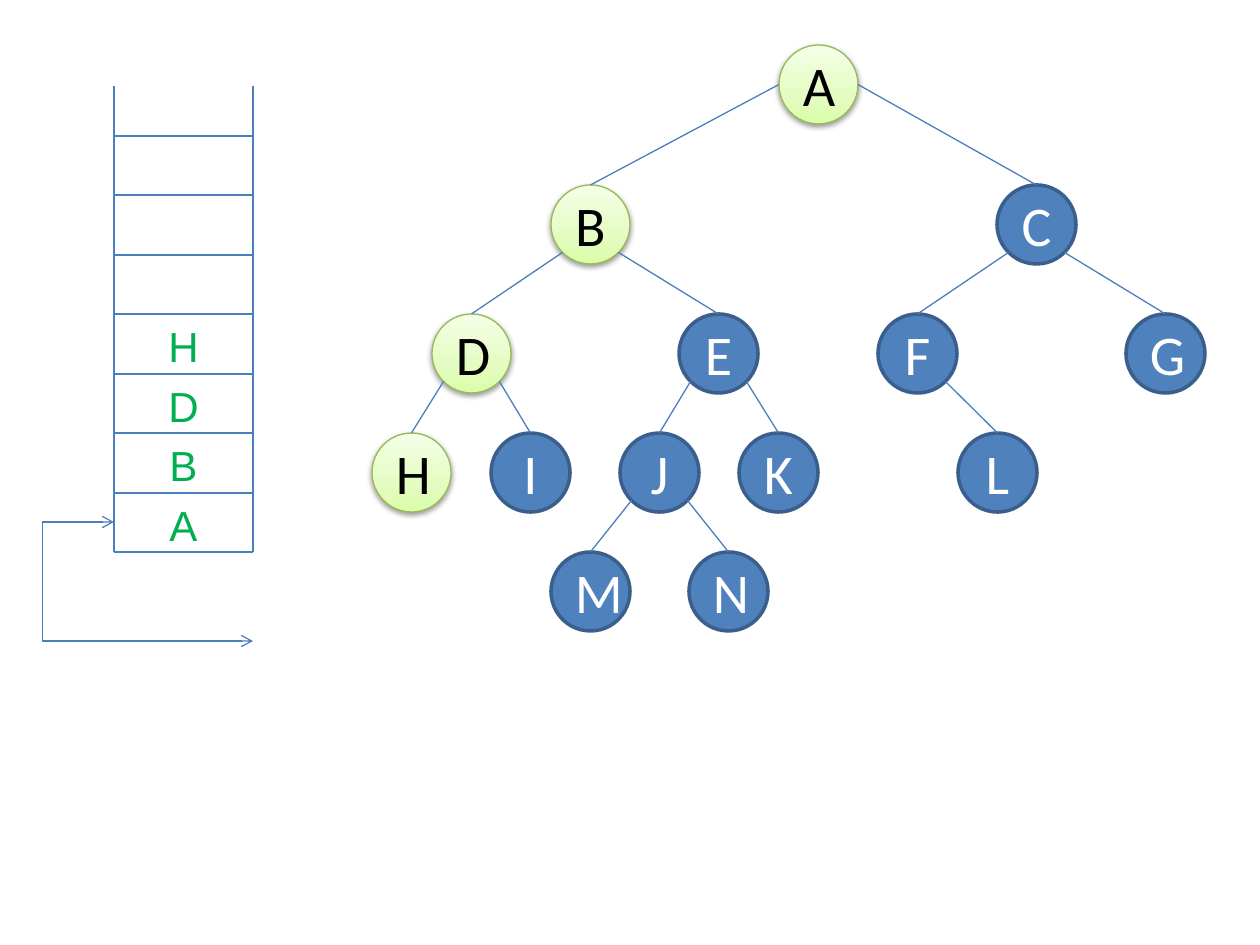
from dataclasses import dataclass
from math import sqrt

from lxml import etree
from pptx import Presentation
from pptx.dml.color import RGBColor
from pptx.enum.shapes import MSO_CONNECTOR, MSO_SHAPE
from pptx.enum.text import MSO_ANCHOR, MSO_AUTO_SIZE, PP_ALIGN
from pptx.oxml.ns import qn
from pptx.util import Emu, Pt

OVAL = MSO_SHAPE.OVAL
LINE, ELBOW = MSO_CONNECTOR.STRAIGHT, MSO_CONNECTOR.ELBOW
CENTER, MIDDLE = PP_ALIGN.CENTER, MSO_ANCHOR.MIDDLE
GROW = MSO_AUTO_SIZE.SHAPE_TO_FIT_TEXT

BLUE = RGBColor(0x4F, 0x81, 0xBD)
NAVY = RGBColor(0x3A, 0x5F, 0x8C)
EDGE = RGBColor(0x4B, 0x7E, 0xBC)
LIME = RGBColor(0x98, 0xB9, 0x55)
GREEN = RGBColor(0x00, 0xB0, 0x50)
WHITE = RGBColor(0xFF, 0xFF, 0xFF)
BLACK = RGBColor(0x00, 0x00, 0x00)
FADE = (
    (0, RGBColor(0xDA, 0xFD, 0xA7)),
    (35, RGBColor(0xE4, 0xFC, 0xC2)),
    (100, RGBColor(0xF5, 0xFF, 0xE7)),
)

SCALE = 914400 // 126
SIZE = 79  # node diameter
LEVELS = (45, 185, 314, 433, 552)  # node tops
LEFT, RIGHT, TOP, BASE = 114, 253, 86, 552  # stack frame


@dataclass
class Node:
    name: str
    left: int
    level: int
    kids: str = ""

    @property
    def top(self) -> int:
        return LEVELS[self.level]


TREE = (
    Node("A", 779, 0, "BC"),
    Node("B", 551, 1, "DE"),
    Node("C", 997, 1, "FG"),
    Node("D", 432, 2, "HI"),
    Node("E", 679, 2, "JK"),
    Node("F", 878, 2, "L"),
    Node("G", 1126, 2),
    Node("H", 372, 3),
    Node("I", 491, 3),
    Node("J", 620, 3, "MN"),
    Node("K", 739, 3),
    Node("L", 958, 3),
    Node("M", 551, 4),
    Node("N", 689, 4),
)
PATH = "ABDH"  # visited nodes, bottom of the stack first


def px(num: float) -> Emu:
    return Emu(round(num * SCALE))


def sub(base, tag: str, **attrs):
    return etree.SubElement(base, qn(tag), {k: str(v) for k, v in attrs.items()})


def write(frame, text: str, size: int, font: str, color: RGBColor) -> None:
    para = frame.paragraphs[0]
    para.alignment = CENTER
    run = para.add_run()
    run.text = text
    run.font.size = Pt(size)
    run.font.name = font
    run.font.color.rgb = color


def link(shapes, x1: float, y1: float, x2: float, y2: float, kind=LINE):
    line = shapes.add_connector(kind, px(x1), px(y1), px(x2), px(y2))
    line.line.color.rgb = EDGE
    line.line.width = Pt(0.75)
    sub(line._element.spPr, "a:effectLst")
    return line


def glow(shape) -> None:
    """Give a visited node its green fade and soft shadow."""
    shape.fill.gradient()
    shape.fill.gradient_angle = 90
    props = shape._element.spPr
    stops = props.find(qn("a:gradFill")).find(qn("a:gsLst"))
    for stop in list(stops):
        stops.remove(stop)
    for pos, color in FADE:
        sub(sub(stops, "a:gs", pos=pos * 1000), "a:srgbClr", val=color)
    cast = sub(props.find(qn("a:effectLst")), "a:outerShdw", blurRad=40000,
               dist=20000, dir=5400000, rotWithShape=0)
    sub(sub(cast, "a:srgbClr", val=BLACK), "a:alpha", val=38000)


def draw_node(shapes, node: Node):
    seen = node.name in PATH
    shape = shapes.add_shape(OVAL, px(node.left), px(node.top), px(SIZE), px(SIZE))
    shape.shadow.inherit = False
    shape.line.color.rgb = LIME if seen else NAVY
    shape.line.width = Pt(0.75 if seen else 2)
    if seen:
        glow(shape)
    else:
        shape.fill.solid()
        shape.fill.fore_color.rgb = BLUE
    shape.text_frame.vertical_anchor = MIDDLE
    write(shape.text_frame, node.name, 32, "Calibri", BLACK if seen else WHITE)
    return shape


def draw_edge(shapes, node: Node, kid: Node, oval) -> None:
    # The root's edges leave from its sides, all others from the lower diagonals
    half = SIZE / 2
    side = 1 if kid.left > node.left else -1
    dx, dy = (half, 0) if node.level == 0 else (half / sqrt(2), half / sqrt(2))
    line = link(shapes, node.left + half + side * dx, node.top + half + dy,
                kid.left + half, kid.top)
    line.end_connect(oval, 0)


def draw_tree(slide) -> None:
    shapes = slide.shapes.add_group_shape().shapes
    nodes = {node.name: node for node in TREE}
    ovals = {node.name: draw_node(shapes, node) for node in TREE}
    for node in TREE:
        for name in node.kids:
            draw_edge(shapes, node, nodes[name], ovals[name])


def row_top(row: int) -> int:
    return BASE - row * 119 // 2


def draw_stack(slide) -> None:
    shapes = slide.shapes
    for x in (LEFT, RIGHT):
        link(shapes, x, TOP, x, BASE)
    for row in range(8):
        link(shapes, LEFT, row_top(row), RIGHT, row_top(row))

    # Pointer from the bottom cell, bent round to the left
    bend = link(shapes, LEFT, 522, RIGHT, 641, ELBOW)
    props = bend._element.spPr
    guides = props.find(qn("a:prstGeom")).find(qn("a:avLst"))
    sub(guides, "a:gd", name="adj1", fmla="val -51500")
    for end in ("a:headEnd", "a:tailEnd"):
        sub(props.find(qn("a:ln")), end, type="arrow")

    # Cell letters
    for row, name in enumerate(PATH, 1):
        box = shapes.add_textbox(px(LEFT), px(row_top(row)), px(RIGHT - LEFT), px(64))
        box.text_frame.word_wrap = True
        box.text_frame.auto_size = GROW
        write(box.text_frame, name, 24, "Arial", GREEN)


def main() -> None:
    deck = Presentation()
    deck.slide_width, deck.slide_height = px(1260), px(945)
    slide = deck.slides.add_slide(deck.slide_layouts[6])
    draw_tree(slide)
    draw_stack(slide)
    deck.save("out.pptx")


if __name__ == "__main__":
    main()
